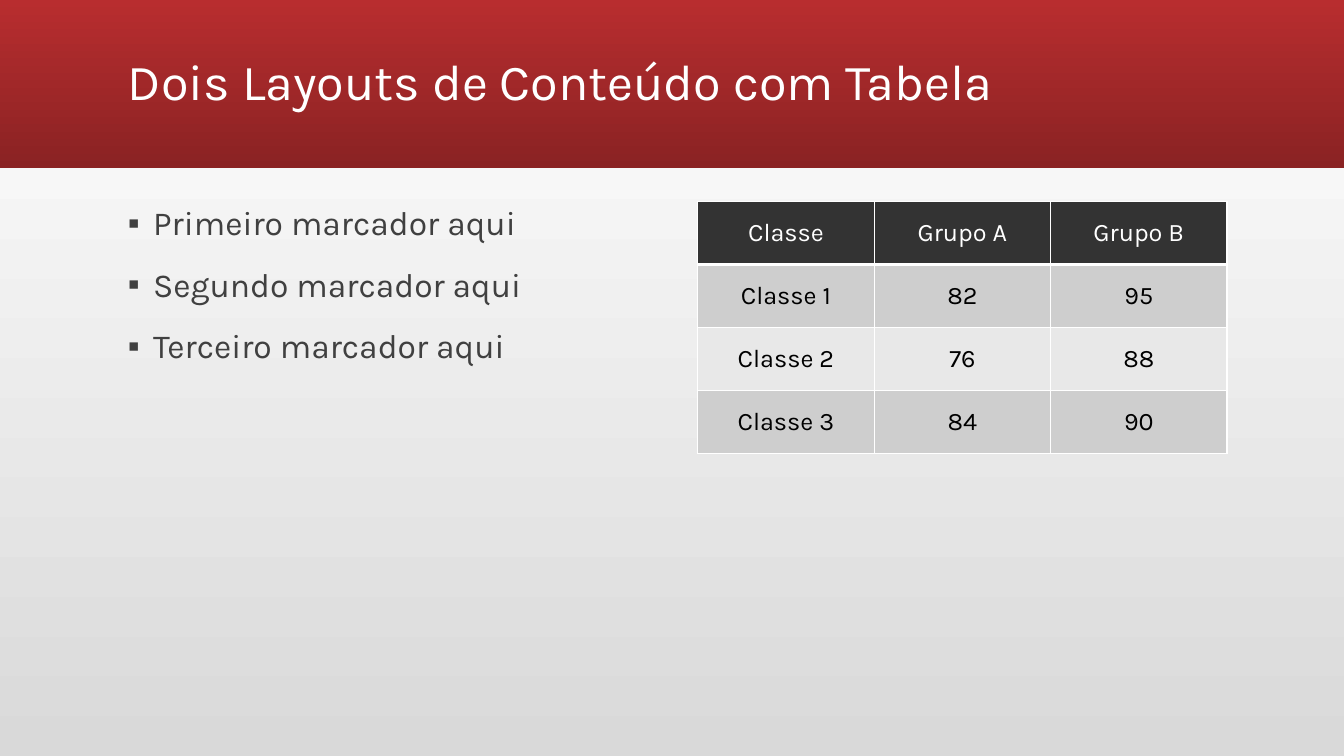
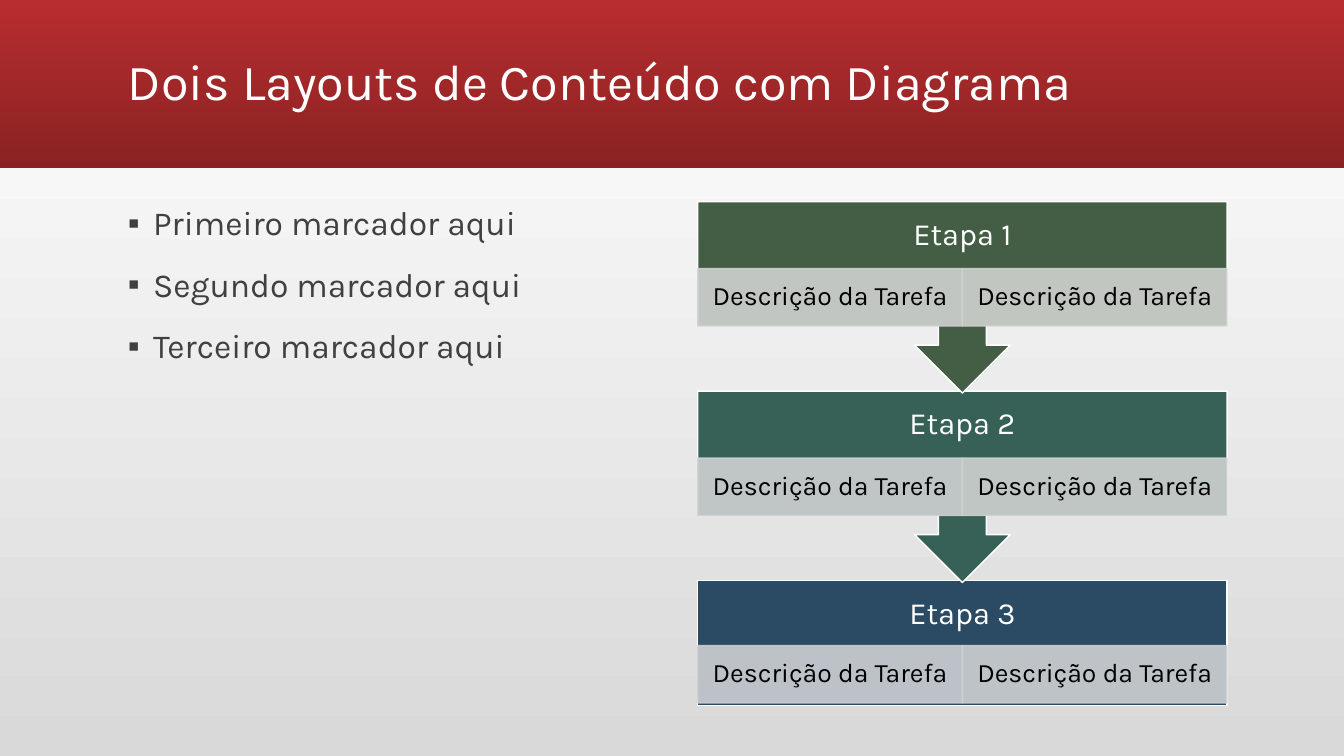
import pptx
import pptx.util
import pptx.dml.color
import pptx.enum.shapes
import pptx.enum.text
import pptx.oxml
import pptx.oxml.ns
from lxml import etree

Inches, Pt = pptx.util.Inches, pptx.util.Pt
SHAPE = pptx.enum.shapes.MSO_SHAPE
ALIGN = pptx.enum.text.PP_ALIGN
ANCHOR = pptx.enum.text.MSO_ANCHOR
qn = pptx.oxml.ns.qn

FONT, BULLET_FONT = "Karla", "Arial"
COLORS = {
    "white": "FFFFFF", "black": "000000", "text": "404040",
    "backdrop": "D9D9D9", "band_top": "B82D2F", "band_bottom": "8A2223",
    "header": "333333", "row_odd": "CECECE", "row_even": "E8E8E8",
    "green": "445E45", "teal": "376156", "navy": "2B4A63",
    "green_1": "CFD2D0", "green_2": "CFD2CF",
    "teal_1": "CED2D2", "teal_2": "CED2D1",
    "navy_1": "CDD0D3", "navy_2": "CED1D3",
}

# Page grid in inches: (left, top, width, height)
WIDTH, HEIGHT = 13.33, 7.5
MARGIN, COLUMN, GAP = 1.17, 5.25, 0.5
BODY_TOP, BODY_HEIGHT = 2, 5
BAND = (0, 0, WIDTH, 1.67)
TITLE = (MARGIN, 0.11, 2 * COLUMN + GAP, 1.45)
LEFT = (MARGIN, BODY_TOP, COLUMN, BODY_HEIGHT)
RIGHT = (MARGIN + COLUMN + GAP, BODY_TOP, COLUMN, BODY_HEIGHT)

BULLETS = ["Primeiro marcador aqui", "Segundo marcador aqui", "Terceiro marcador aqui"]
SCORES = [
    ["Classe", "Grupo A", "Grupo B"],
    ["Classe 1", "82", "95"],
    ["Classe 2", "76", "88"],
    ["Classe 3", "84", "90"],
]
STAGES = [("Etapa 1", "green"), ("Etapa 2", "teal"), ("Etapa 3", "navy")]
TASKS = ["Descrição da Tarefa", "Descrição da Tarefa"]


def rgb(name):
    return pptx.dml.color.RGBColor.from_string(COLORS[name])


def inches(box):
    return [Inches(v) for v in box]


def set_gradient(fill, start, end, angle):
    fill.gradient()
    fill.gradient_angle = angle
    for stop, name in zip(fill.gradient_stops, (start, end)):
        stop.color.rgb = rgb(name)


def set_font(p, size, color):
    p.font.name, p.font.size = FONT, Pt(size)
    p.font.color.rgb = rgb(color)


def add_text(slide, box, lines, size, color, anchor=ANCHOR.TOP):
    """Add a wrapped text box and return its paragraphs."""
    tf = slide.shapes.add_textbox(*inches(box)).text_frame
    tf.word_wrap = True
    tf.vertical_anchor = anchor
    tf.text = "\n".join(lines)
    for p in tf.paragraphs:
        p.line_spacing = 0.9
        set_font(p, size, color)
    return tf.paragraphs


def add_block(slide, kind, box, fill, line, text, size, color, margins):
    """Add an outlined shape with centred text; margins are left/right, top, bottom."""
    sp = slide.shapes.add_shape(kind, *inches(box))
    sp.shadow.inherit = False
    sp.fill.solid()
    sp.fill.fore_color.rgb = rgb(fill)
    sp.line.color.rgb = rgb(line)
    sp.line.width = Pt(1)
    tf = sp.text_frame
    tf.word_wrap = True
    tf.vertical_anchor = ANCHOR.MIDDLE
    side, tf.margin_top, tf.margin_bottom = inches(margins)
    tf.margin_left = tf.margin_right = side
    p = tf.paragraphs[0]
    p.text, p.alignment, p.line_spacing = text, ALIGN.CENTER, 0.9
    set_font(p, size, color)
    return sp


def set_opacity(sp, percent):
    for clr in sp._element.spPr.iter(qn("a:srgbClr")):
        etree.SubElement(clr, qn("a:alpha")).set("val", str(percent * 1000))


def add_bullets(slide, box, lines):
    for p in add_text(slide, box, lines, 24, "text"):
        p.space_before = Pt(18)
        pPr = p._p.get_or_add_pPr()
        pPr.set("marL", str(Inches(0.25)))
        pPr.set("indent", str(-Inches(0.25)))
        for bullet in (etree.Element(qn("a:buFont"), typeface=BULLET_FONT),
                       etree.Element(qn("a:buChar"), char="▪")):
            pPr.insert_element_before(bullet, "a:tabLst", "a:defRPr", "a:extLst")


def set_borders(cell, **widths):
    """Draw white borders; keys are L, R, T and B, values are points."""
    tcPr = cell._tc.get_or_add_tcPr()
    for i, side in enumerate("LRTB"):
        tcPr.insert(i, pptx.oxml.parse_xml(
            f'<a:ln{side} {pptx.oxml.ns.nsdecls("a")} w="{Pt(widths.get(side, 1))}">'
            f'<a:solidFill><a:srgbClr val="{COLORS["white"]}"/></a:solidFill></a:ln{side}>'))


def add_score_table(slide, box, rows):
    left, top, width, height = box
    frame = slide.shapes.add_table(
        len(rows), len(rows[0]), *inches((left, top, width, height / 2)))
    table = frame.table
    table.first_row = table.horz_banding = False
    for r, row in enumerate(rows):
        fill = "header" if r == 0 else ("row_even", "row_odd")[r % 2]
        for c, text in enumerate(row):
            cell = table.cell(r, c)
            cell.fill.solid()
            cell.fill.fore_color.rgb = rgb(fill)
            cell.vertical_anchor = ANCHOR.MIDDLE
            set_borders(cell, T=3 if r == 1 else 1, B=3 if r == 0 else 1)
            p = cell.text_frame.paragraphs[0]
            p.text, p.alignment = text, ALIGN.CENTER
            set_font(p, 18, "white" if r == 0 else "black")


def add_process(slide, box, stages, tasks):
    """Stack the stages, the last at the back, each arrow pointing to the next."""
    left, top, width, height = box
    pitch, task_height = height * 0.376, height * 0.114
    task_width = width / len(tasks)
    for i, (name, color) in reversed(list(enumerate(stages))):
        y = top + i * pitch
        if i == len(stages) - 1:
            kind, stage_height, split = SHAPE.RECTANGLE, height * 0.248, 0.52
        else:
            kind, stage_height, split = SHAPE.DOWN_ARROW_CALLOUT, height * 0.38, 0.35
        add_block(slide, kind, (left, y, width, stage_height), color, "white",
                  name, 22, "white", (0.17, 0, task_height))
        for j, task in enumerate(tasks):
            tint = f"{color}_{j + 1}"
            task_box = (left + j * task_width, y + split * stage_height,
                        task_width, task_height)
            sp = add_block(slide, SHAPE.RECTANGLE, task_box, tint, tint,
                           task, 19, "black", (0.12, 0.03, 0.03))
            set_opacity(sp, 90)


def add_content_slide(prs, title, add_right, *content):
    """Add the band, title and bullets, then fill the right column."""
    slide = prs.slides.add_slide(prs.slide_layouts[6])
    band = slide.shapes.add_shape(SHAPE.RECTANGLE, *inches(BAND))
    band.shadow.inherit = False
    band.line.fill.background()
    set_gradient(band.fill, "band_top", "band_bottom", 270)
    add_text(slide, TITLE, [title], 36, "white", ANCHOR.MIDDLE)
    add_bullets(slide, LEFT, BULLETS)
    add_right(slide, RIGHT, *content)


def main():
    prs = pptx.Presentation()
    prs.slide_width, prs.slide_height = Inches(WIDTH), Inches(HEIGHT)
    set_gradient(prs.slide_master.background.fill, "backdrop", "white", 90)
    add_content_slide(prs, "Dois Layouts de Conteúdo com Tabela", add_score_table, SCORES)
    add_content_slide(prs, "Dois Layouts de Conteúdo com Diagrama", add_process, STAGES, TASKS)
    prs.save("out.pptx")


if __name__ == "__main__":
    main()
